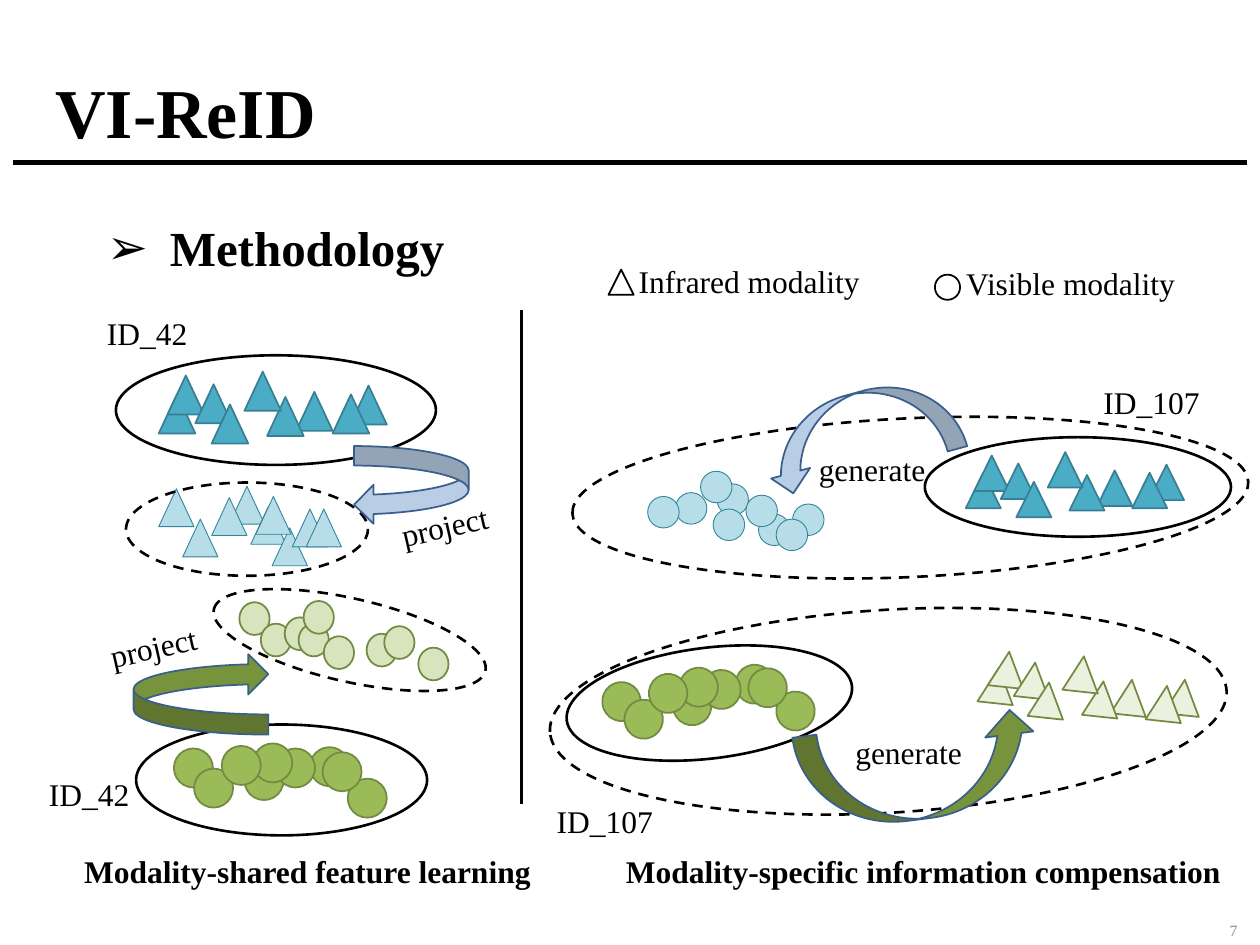
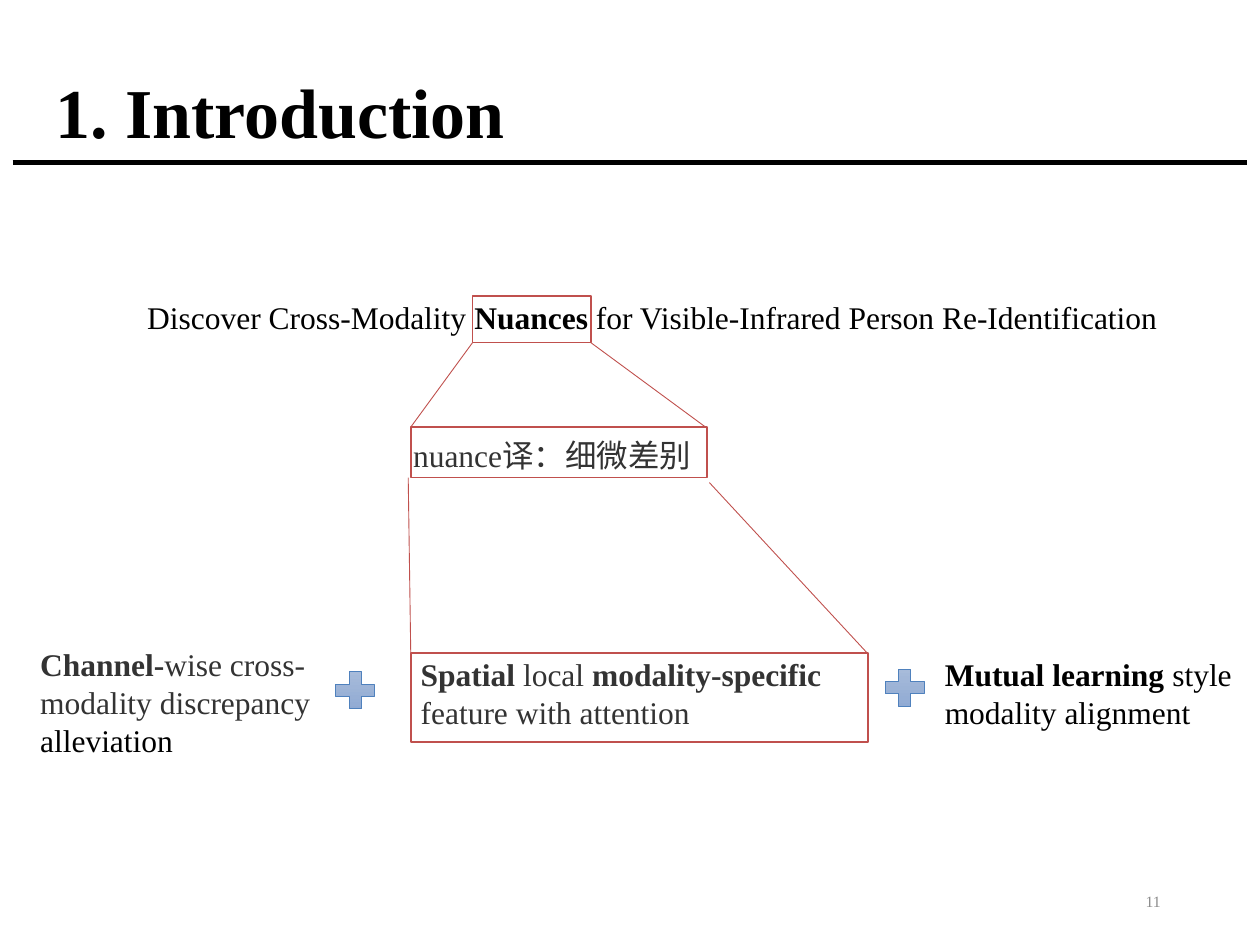
from dataclasses import dataclass
from math import cos, radians, sin
from typing import NamedTuple, Optional

from lxml import etree
from pptx import Presentation, util as u
from pptx.dml.color import RGBColor
from pptx.enum import dml, shapes, text
from pptx.oxml.ns import qn

FONT = "Times New Roman"
BLACK = RGBColor(0x00, 0x00, 0x00)
WHITE = RGBColor(0xFF, 0xFF, 0xFF)
DARK = RGBColor(0x33, 0x33, 0x33)
GREY = RGBColor(0x8C, 0x8C, 0x8C)
RED = RGBColor(0xC0, 0x50, 0x4D)
NAVY = RGBColor(0x3A, 0x5F, 0x8C)
BLUE = RGBColor(0x4F, 0x81, 0xBD)
TEAL = RGBColor(0x4B, 0xAC, 0xC6)
TEAL_EDGE = RGBColor(0x37, 0x7F, 0x92)
ICE = RGBColor(0xB7, 0xDE, 0xE8)
ICE_EDGE = RGBColor(0x31, 0x85, 0x9C)
GREEN = RGBColor(0x9B, 0xBB, 0x59)
GREEN_EDGE = RGBColor(0x73, 0x8A, 0x42)
LIME = RGBColor(0xD7, 0xE4, 0xBD)
MINT = RGBColor(0xEB, 0xF1, 0xDE)
SKY = RGBColor(0xB9, 0xCD, 0xE5)
MOSS = RGBColor(0x77, 0x93, 0x3C)
PLUS_TOP = RGBColor(0xAB, 0xBE, 0xDB)
PLUS_END = RGBColor(0x8C, 0xA7, 0xD2)

WIDE, HIGH = u.Inches(10), u.Inches(7.5)
COLS = 100  # square cells: 100 columns by 75 rows
CELL = WIDE // COLS

Kind = shapes.MSO_SHAPE
OVAL, PEAK = Kind.OVAL, Kind.ISOSCELES_TRIANGLE


class Box(NamedTuple):
    """Place and size in grid cells."""
    x: float
    y: float
    w: float
    h: float


class Run(NamedTuple):
    text: str
    bold: bool = False
    color: RGBColor = BLACK


class Look(NamedTuple):
    fill: Optional[RGBColor]
    edge: RGBColor
    width: float = 1


@dataclass
class Swarm:
    """Marks of one kind; spots are offsets inside the base frame."""
    kind: Kind
    base: Box
    mark: tuple
    spots: list


@dataclass
class Ring:
    box: Box
    turn: float = 0
    dash: bool = False


@dataclass
class Label:
    box: Box
    runs: list
    wrap: bool = False
    turn: float = 0


DISCS = Swarm(OVAL, Box(10.8, 57.5, 23.1, 8.8), (3.1, 3.1), [
    (3, 1.9), (4.6, 3.5), (16.8, 4.3), (13.8, 1.8), (8.6, 2.9),
    (11.1, 1.9), (9.3, 1.5), (6.8, 1.7), (14.8, 2.2)])
PEAKS = Swarm(PEAK, Box(9.2, 28.2, 25.4, 8.7), (2.9, 3.1), [
    (3.4, 3.1), (4.1, 1.6), (6.3, 2.3), (18.6, 2.4), (7.6, 3.9),
    (17.2, 3.1), (14.3, 2.9), (12, 3.3), (10.2, 1.3)])
ICE_PEAKS = Swarm(PEAK, Box(10, 38.3, 19.2, 7.4), (2.8, 3), [
    (2.6, 0.5), (4.5, 2.9), (8.2, 0.3), (9.9, 1.9), (11.6, 3.6),
    (13.2, 2.1), (6.8, 1.2), (10.3, 1.1), (14.3, 2.1)])
LIME_DISCS = Swarm(OVAL, Box(16.7, 47.5, 22.1, 6.6), (2.4, 2.6), [
    (2.3, 0.3), (4, 2), (5.9, 1.5), (7, 2), (7.4, 0.2),
    (12.4, 2.8), (9, 3), (13.8, 2.2), (16.5, 3.9)])
ICE_DISCS = Swarm(OVAL, Box(45.4, 33.2, 53.7, 12.6), (2.5, 2.5), [
    (14.8, 7.6), (11.5, 5.2), (8.2, 5.9), (6, 6.2), (10.2, 4.2),
    (11.2, 7.2), (13.8, 6.1), (17.5, 6.8), (16.2, 8)])

RIGHT_PEAKS = Box(73.4, 34.7, 24.3, 7.9)
RIGHT_DISCS = Box(44.9, 51.4, 22.8, 8.8)
MINT_PEAKS = Box(74.4, 51, 24.7, 7.9)
TILT = -6.9

RINGS = [
    Ring(DISCS.base), Ring(PEAKS.base), Ring(RIGHT_PEAKS),
    Ring(RIGHT_DISCS, TILT),
    Ring(ICE_PEAKS.base, dash=True),
    Ring(LIME_DISCS.base, 12.8, True),
    Ring(Box(43.6, 48.4, 53.8, 16.1), -3.5, True),
    Ring(ICE_DISCS.base, -2.7, True),
]


def cells(count: float) -> int:
    return round(count * CELL)


def place(item, box: Box) -> None:
    item.left, item.top, item.width, item.height = map(cells, box)


def draw(slide, kind: Kind, box: Box, look: Look, turn: float = 0):
    item = slide.shapes.add_shape(kind, *map(cells, box))
    item.shadow.inherit = False
    item.rotation = turn
    if look.fill is None:
        item.fill.background()
    else:
        item.fill.solid()
        item.fill.fore_color.rgb = look.fill
    item.line.color.rgb = look.edge
    item.line.width = u.Pt(look.width)
    return item


def rule(slide, start: tuple, end: tuple, color: RGBColor, width: float) -> None:
    line = slide.shapes.add_connector(
        shapes.MSO_CONNECTOR.STRAIGHT, *map(cells, (*start, *end)))
    line.line.color.rgb = color
    line.line.width = u.Pt(width)
    etree.SubElement(line._element.spPr, qn("a:effectLst"))


def write(para, runs: list, size: float) -> None:
    for part in runs:
        run = para.add_run()
        run.text = part.text
        font = run.font
        font.name, font.size, font.bold = FONT, u.Pt(size), part.bold
        font.color.rgb = part.color


def label(slide, item: Label, size: float = 18):
    box = slide.shapes.add_textbox(*map(cells, item.box))
    box.rotation = item.turn
    box.text_frame.word_wrap = item.wrap
    write(box.text_frame.paragraphs[0], item.runs, size)
    return box


def start(deck, title: str, page: str, corner: Box):
    """Add a slide with its title, rule and page number."""
    slide = deck.slides.add_slide(deck.slide_layouts[5])
    rule(slide, (1, 12.9), (99, 12.9), BLACK, 3)
    head = slide.shapes.title
    place(head, Box(3.4, 3.9, 86.2, 10.6))
    frame = head.text_frame
    frame.auto_size = text.MSO_AUTO_SIZE.NONE
    frame.vertical_anchor = text.MSO_ANCHOR.MIDDLE
    para = frame.paragraphs[0]
    para.alignment, para.line_spacing = text.PP_ALIGN.LEFT, 0.9
    write(para, [Run(title, True)], 40)
    foot = label(slide, Label(corner, [Run(page, color=GREY)], True), 9)
    foot.text_frame.vertical_anchor = text.MSO_ANCHOR.MIDDLE
    foot.text_frame.paragraphs[0].alignment = text.PP_ALIGN.RIGHT
    return slide


def scatter(slide, swarm: Swarm, frame: Box, look: Look, turn: float = 0) -> None:
    """Scale the swarm to the frame and turn it about the centre."""
    base, (wide, high) = swarm.base, swarm.mark
    grow_x, grow_y = frame.w / base.w, frame.h / base.h
    c, s = cos(radians(turn)), sin(radians(turn))
    w, h = wide * grow_x, high * grow_y
    for left, top in swarm.spots:
        dx = (left + wide / 2 - base.w / 2) * grow_x
        dy = (top + high / 2 - base.h / 2) * grow_y
        x = frame.x + frame.w / 2 + dx * c - dy * s
        y = frame.y + frame.h / 2 + dx * s + dy * c
        draw(slide, swarm.kind, Box(x - w / 2, y - h / 2, w, h), look, turn)


def bullet(slide, words: str) -> None:
    box = label(slide, Label(Box(7.5, 16.8, 60, 6), [], True))
    para = box.text_frame.paragraphs[0]
    props = para._p.get_or_add_pPr()
    props.set("marL", str(u.Inches(0.5)))
    props.set("indent", str(-u.Inches(0.5)))
    etree.SubElement(props, qn("a:buFont")).set("typeface", "Arial")
    etree.SubElement(props, qn("a:buChar")).set("char", "➢")
    write(para, [Run(words, True)], 28)


def method(deck) -> None:
    slide = start(deck, "VI-ReID", "7", Box(76.7, 71.8, 22.5, 4))
    bullet(slide, "Methodology")
    teal, ice = Look(TEAL, TEAL_EDGE), Look(ICE, ICE_EDGE, 0.5)
    green = Look(GREEN, GREEN_EDGE)
    scatter(slide, DISCS, DISCS.base, green)
    scatter(slide, DISCS, RIGHT_DISCS, green, TILT)
    scatter(slide, PEAKS, PEAKS.base, teal)
    scatter(slide, PEAKS, RIGHT_PEAKS, teal)
    scatter(slide, PEAKS, MINT_PEAKS, Look(MINT, GREEN_EDGE), 6.1)
    scatter(slide, LIME_DISCS, LIME_DISCS.base, Look(LIME, GREEN_EDGE))
    for swarm in (ICE_PEAKS, ICE_DISCS):
        scatter(slide, swarm, swarm.base, ice)
    for ring in RINGS:
        oval = draw(slide, OVAL, ring.box, Look(None, BLACK, 1.5), ring.turn)
        if ring.dash:
            oval.line.dash_style = dml.MSO_LINE.DASH

    side, up = Kind.CURVED_LEFT_ARROW, Kind.CURVED_UP_ARROW
    for kind, box, fill, turn in [
        (side, Box(10.6, 51.9, 10.7, 6.4), MOSS, 180),
        (side, Box(28.1, 35.4, 9.1, 6.2), SKY, 0),
        (up, Box(60.3, 31.2, 15.9, 6.4), SKY, 164.8),
        (up, Box(63.3, 57.3, 19.3, 7.7), MOSS, -7.3),
    ]:
        draw(slide, kind, box, Look(fill, NAVY), turn)

    rule(slide, (41.4, 63.8), (41.4, 24.6), BLACK, 1.5)
    draw(slide, PEAK, Box(48.3, 21.4, 2, 2), Look(None, BLACK))
    draw(slide, OVAL, Box(74.2, 21.8, 2, 2), Look(WHITE, BLACK))
    for words, x, y, w, bold, turn in [
        ("Infrared modality", 49.7, 20.3, 19.8, False, 0),
        ("Visible modality", 75.7, 20.5, 19.4, False, 0),
        ("ID_42", 7.5, 24.4, 8.5, False, 0),
        ("ID_42", 2.9, 61, 8.5, False, 0),
        ("ID_107", 86.6, 29.9, 9.7, False, 0),
        ("ID_107", 43.2, 63.2, 9.7, False, 0),
        ("generate", 64, 35.2, 12, False, 0),
        ("generate", 66.9, 57.7, 12, False, 0),
        ("project", 30.8, 39.6, 10.1, False, -12.8),
        ("project", 7.7, 49.2, 10.1, False, -12.8),
        ("Modality-shared feature learning", 5.7, 67.1, 37.8, True, 0),
        ("Modality-specific information compensation", 48.7, 67.1, 49.7, True, 0),
    ]:
        wrap = words in ("generate", "project")
        label(slide, Label(Box(x, y, w, 4), [Run(words, bold)], wrap, turn))


def intro(deck) -> None:
    slide = start(deck, "1. Introduction", "11", Box(70.6, 69.5, 22.5, 4))
    for item in [
        Label(Box(10.7, 23.2, 88, 4), [
            Run("Discover Cross-Modality "), Run("Nuances", True),
            Run(" for Visible-Infrared Person Re-Identification")], True),
        Label(Box(31.8, 34.1, 24.9, 4), [Run("nuance译：细微差别", color=DARK)]),
        Label(Box(32.4, 51.5, 38.2, 7.1), [
            Run("Spatial", True, DARK), Run(" local ", color=DARK),
            Run("modality-specific", True, DARK),
            Run(" feature with attention", color=DARK)], True),
        Label(Box(2.2, 50.7, 24.5, 10.1), [
            Run("Channel-", True, DARK),
            Run("wise cross-modality discrepancy ", color=DARK),
            Run("alleviation")], True),
        Label(Box(74, 51.5, 25.5, 7.1), [
            Run("Mutual learning ", True), Run("style modality alignment")], True),
    ]:
        label(slide, item)

    for box in (Box(37.5, 23.5, 9.4, 3.7), Box(32.6, 33.9, 23.5, 4),
                Box(32.6, 51.8, 36.3, 7.1)):
        draw(slide, Kind.RECTANGLE, box, Look(None, RED))
    for tip, end in [
        ((37.5, 27.2), (32.6, 33.9)), ((46.9, 27.2), (56, 33.9)),
        ((32.4, 37.9), (32.6, 51.8)), ((56.3, 38.3), (68.8, 51.8)),
    ]:
        rule(slide, tip, end, RED, 0.5)
    for x, y in ((26.1, 52.8), (69.7, 52.6)):
        plus = draw(slide, Kind.MATH_PLUS, Box(x, y, 4.2, 4), Look(None, BLUE, 0.5))
        plus.fill.gradient()
        plus.fill.gradient_angle = 270
        for stop, color in zip(plus.fill.gradient_stops, (PLUS_TOP, PLUS_END)):
            stop.color.rgb = color


def main() -> None:
    deck = Presentation()
    deck.slide_width, deck.slide_height = WIDE, HIGH
    method(deck)
    intro(deck)
    deck.save("out.pptx")


if __name__ == "__main__":
    main()
